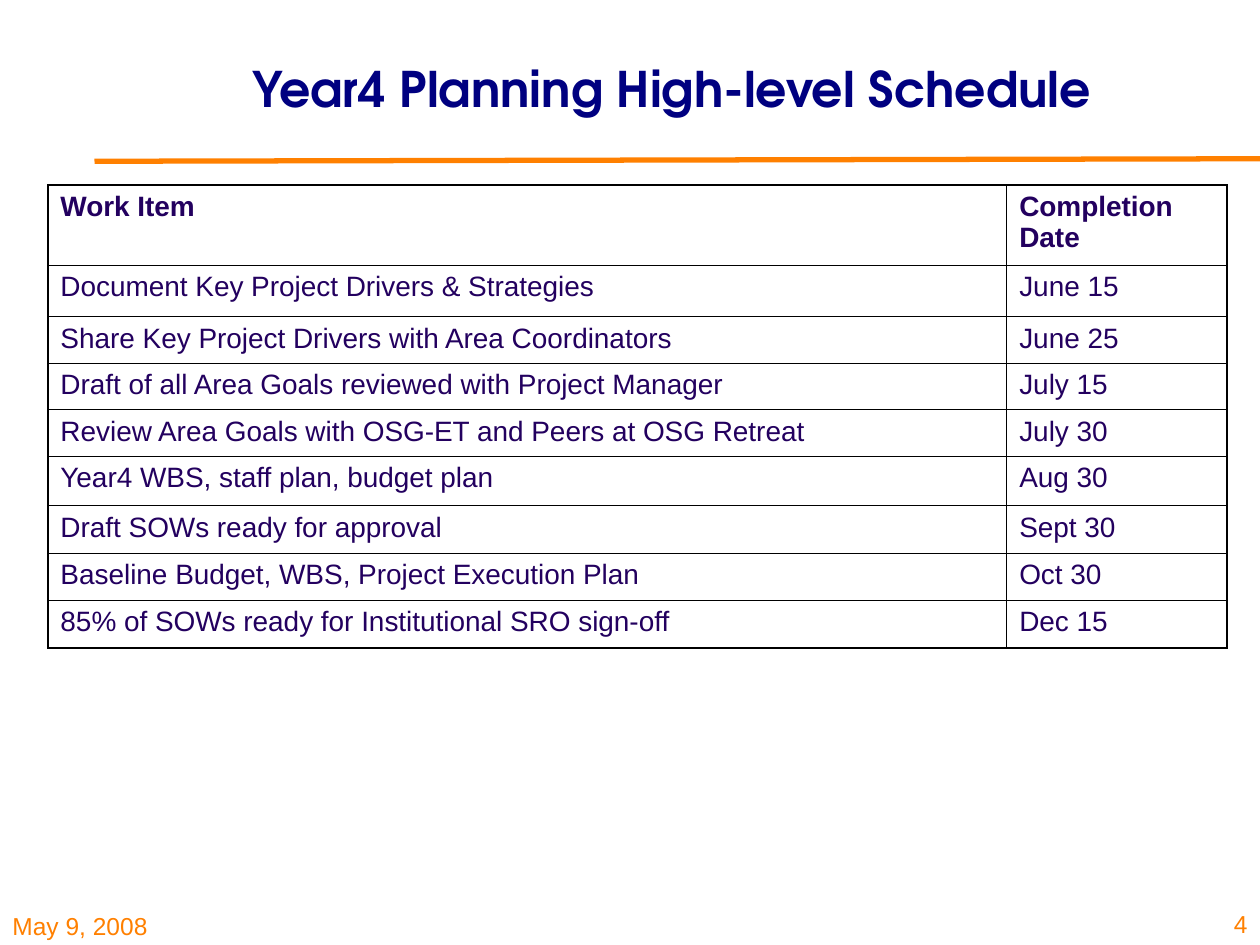
from dataclasses import dataclass

from lxml import etree
from pptx import Presentation
from pptx import util as u
from pptx.dml.color import RGBColor
from pptx.enum import shapes, text
from pptx.oxml.ns import qn

COLORS = {"orange": "FF8000", "navy": "000080", "purple": "23005F", "black": "000000"}
OUTER, INNER = 1.08, 0.45
COLUMN_WIDTHS = (7.61, 1.75)
ROW_HEIGHTS = (0.63, 0.41, 0.37, 0.37, 0.37, 0.39, 0.38, 0.37, 0.38)
SCHEDULE = (
    ("Work Item", "Completion Date"),
    ("Document Key Project Drivers & Strategies", "June 15"),
    ("Share Key Project Drivers with Area Coordinators", "June 25"),
    ("Draft of all Area Goals reviewed with Project Manager", "July 15"),
    ("Review Area Goals with OSG-ET and Peers at OSG Retreat", "July 30"),
    ("Year4 WBS, staff plan, budget plan", "Aug 30"),
    ("Draft SOWs ready for approval", "Sept 30"),
    ("Baseline Budget, WBS, Project Execution Plan", "Oct 30"),
    ("85% of SOWs ready for Institutional SRO sign-off", "Dec 15"),
)


@dataclass(frozen=True)
class Style:
    size: int
    color: str
    name: str = "Arial"
    bold: bool = False


@dataclass(frozen=True)
class Label:
    words: str
    area: tuple[float, float, float, float]
    style: Style
    align: text.PP_ALIGN
    anchor: text.MSO_ANCHOR


FOOTER = Style(14, "orange")
LABELS = (
    Label("May 9, 2008", (0, 7.09, 2.48, 0.42), FOOTER,
          text.PP_ALIGN.LEFT, text.MSO_ANCHOR.BOTTOM),
    Label("4", (9.54, 7, 0.46, 0.5), FOOTER,
          text.PP_ALIGN.RIGHT, text.MSO_ANCHOR.BOTTOM),
    Label("Year4 Planning High-level Schedule", (1.53, 0.23, 7.6, 0.94),
          Style(28, "navy", "TeX Gyre Adventor", True),
          text.PP_ALIGN.CENTER, text.MSO_ANCHOR.MIDDLE),
)


def write(para, words: str, style: Style) -> None:
    span = para.add_run()
    span.text = words
    formats = {"size": u.Pt(style.size), "name": style.name, "bold": style.bold}
    for key, value in formats.items():
        setattr(span.font, key, value)
    span.font.color.rgb = RGBColor.from_string(COLORS[style.color])


def add_label(page, label: Label) -> None:
    box = page.shapes.add_textbox(*map(u.Inches, label.area))
    frame = box.text_frame
    formats = {"word_wrap": True, "vertical_anchor": label.anchor}
    for key, value in formats.items():
        setattr(frame, key, value)
    para = frame.paragraphs[0]
    para.alignment = label.align
    write(para, label.words, label.style)


def add_rule(page) -> None:
    rule = page.shapes.add_connector(
        shapes.MSO_CONNECTOR.STRAIGHT,
        u.Inches(0.75), u.Inches(1.28), u.Inches(10), u.Inches(1.26))
    rule.line.color.rgb = RGBColor.from_string(COLORS["orange"])
    rule.line.width = u.Pt(3)
    etree.SubElement(rule._element.spPr, qn("a:effectLst"))


def set_borders(cell, outer_sides: dict[str, bool]) -> None:
    properties = cell._tc.get_or_add_tcPr()
    for side, is_outer in outer_sides.items():
        width = u.Pt(OUTER if is_outer else INNER)
        border = etree.SubElement(properties, qn(f"a:ln{side}"), w=str(int(width)))
        fill = etree.SubElement(border, qn("a:solidFill"))
        etree.SubElement(fill, qn("a:srgbClr"), val=COLORS["black"])


def add_schedule(page) -> None:
    table = page.shapes.add_table(
        len(SCHEDULE), len(COLUMN_WIDTHS), u.Inches(0.38), u.Inches(1.47),
        u.Inches(sum(COLUMN_WIDTHS)), u.Inches(sum(ROW_HEIGHTS))).table
    table.first_row = table.horz_banding = False
    for column, width in zip(table.columns, COLUMN_WIDTHS):
        column.width = u.Inches(width)
    last_row, last_column = len(SCHEDULE) - 1, len(COLUMN_WIDTHS) - 1
    for i, entries in enumerate(SCHEDULE):
        table.rows[i].height = u.Inches(ROW_HEIGHTS[i])
        for j, words in enumerate(entries):
            cell = table.cell(i, j)
            set_borders(cell, {"L": j == 0, "R": j == last_column,
                               "T": i == 0, "B": i == last_row})
            cell.fill.background()
            write(cell.text_frame.paragraphs[0], words,
                  Style(16, "purple", bold=i == 0))


def main() -> None:
    deck = Presentation()
    deck.slide_width, deck.slide_height = u.Inches(10), u.Inches(7.5)
    page = deck.slides.add_slide(deck.slide_layouts[6])
    add_rule(page)
    for label in LABELS:
        add_label(page, label)
    add_schedule(page)
    deck.save("out.pptx")


if __name__ == "__main__":
    main()
